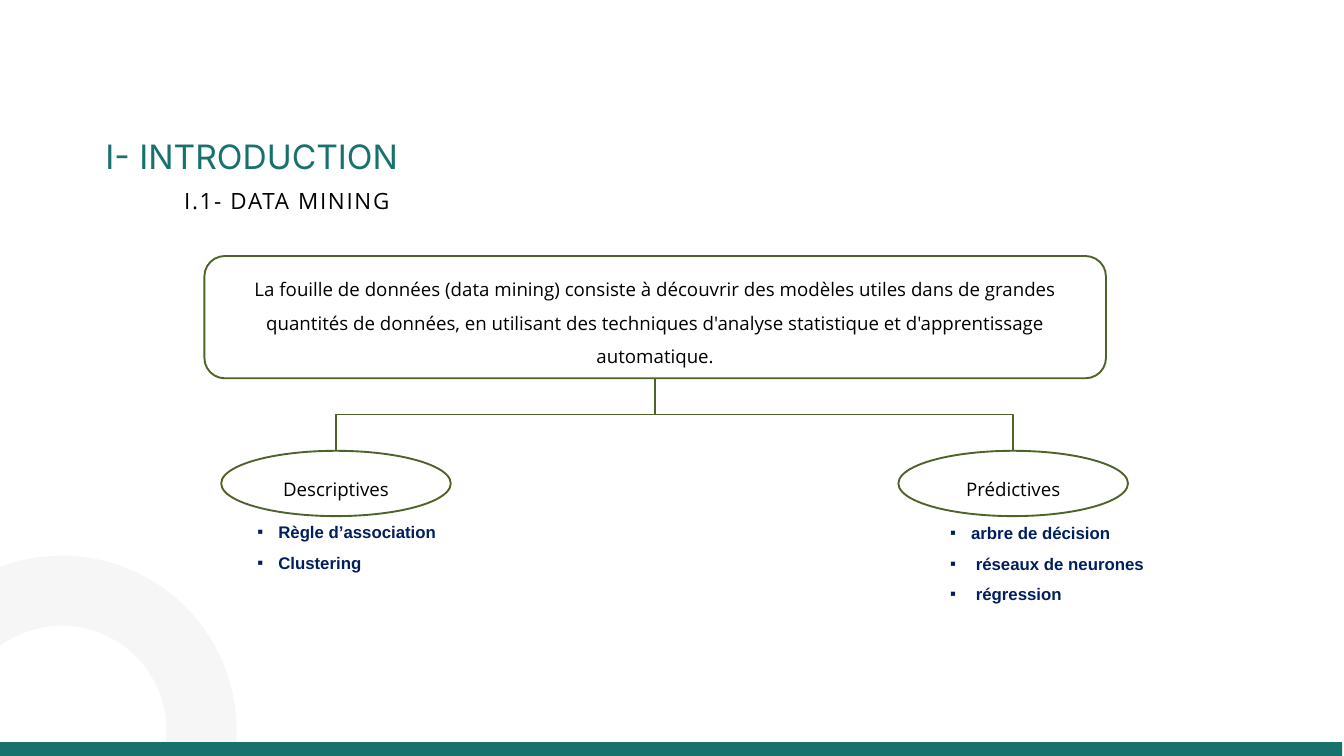
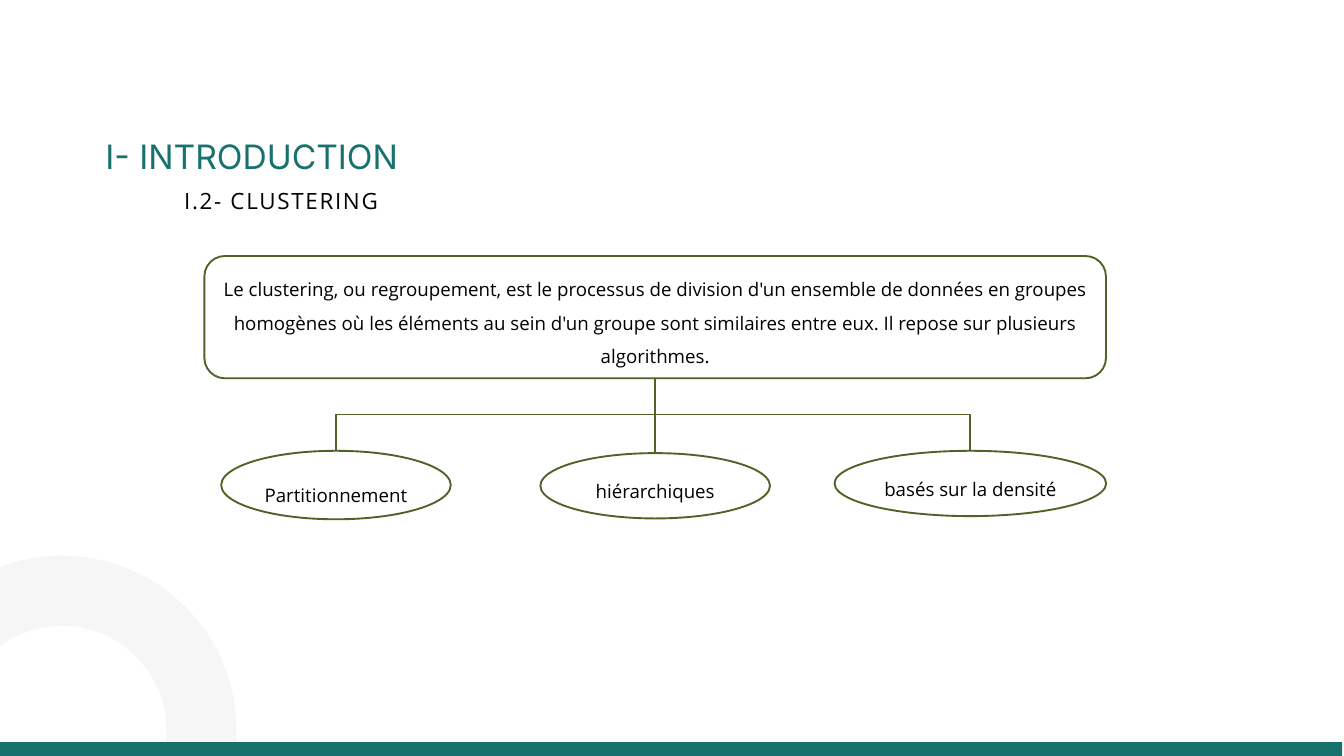
from lxml import etree
from pptx import Presentation
from pptx.dml.color import RGBColor
from pptx.enum import shapes, text
from pptx.oxml import ns
from pptx.util import Pt

TEAL = RGBColor(0x17, 0x72, 0x6D)
OLIVE = RGBColor(0x4F, 0x62, 0x28)
NAVY = RGBColor(0x00, 0x1F, 0x5F)
PALE = RGBColor(0xF6, 0xF6, 0xF6)
BLACK = RGBColor(0, 0, 0)
WHITE = RGBColor(255, 255, 255)

BODY_FONT = "Open Sans"
TITLE = "I- INTRODUCTION"
DEFINITION_BOX = (219, 274.3, 966, 131)
OVAL_TOP, OVAL_WIDTH, OVAL_HEIGHT = 483, 246, 70
BULLET_INDENT, DEEPER_INDENT = 22.5, 27.5

SLIDES = [
    {
        "subtitle": "I.1- DATA MINING",
        "definition": "La fouille de données (data mining) consiste à découvrir des modèles utiles "
                      "dans de grandes quantités de données, en utilisant des techniques d'analyse "
                      "statistique et d'apprentissage automatique.",
        "branches": [
            {"label": "Descriptives", "left": 237},
            {"label": "Prédictives", "left": 962.6},
        ],
        "lists": [
            ((268.6, 545, 216, 90), [("Règle d’association", BULLET_INDENT),
                                     ("Clustering", BULLET_INDENT)]),
            ((1010.9, 546, 270, 120), [("arbre de décision", BULLET_INDENT),
                                       ("réseaux de neurones", DEEPER_INDENT),
                                       ("régression", DEEPER_INDENT)]),
        ],
    },
    {
        "subtitle": "I.2- CLUSTERING",
        "definition": "Le clustering, ou regroupement, est le processus de division d'un ensemble "
                      "de données en groupes homogènes où les éléments au sein d'un groupe sont "
                      "similaires entre eux. Il repose sur plusieurs algorithmes.",
        "branches": [
            {"label": "Partitionnement", "left": 237, "height": 73.4, "lowered": True},
            {"label": "hiérarchiques", "left": 579, "top": 485.5},
            {"label": "basés sur la densité", "left": 894.2, "width": 291},
        ],
        "lists": [],
    },
]


def points(*values):
    return [Pt(value) for value in values]


def style(paragraph, size, color, font=BODY_FONT, bold=False, spacing=1.5):
    paragraph.line_spacing = spacing
    for run in paragraph.runs:
        run.font.size = Pt(size)
        run.font.name = font
        run.font.bold = bold
        run.font.color.rgb = color


def add_preset(slide, kind, place, fill=None, line=None, weight=2):
    shape = slide.shapes.add_shape(kind, *points(*place))
    shape.shadow.inherit = False
    if fill is None:
        shape.fill.background()
    else:
        shape.fill.solid()
        shape.fill.fore_color.rgb = fill
    if line is None:
        shape.line.fill.background()
    else:
        shape.line.color.rgb = line
        shape.line.width = Pt(weight)
    return shape


def add_node(slide, kind, place, label):
    shape = add_preset(slide, kind, place, WHITE, OLIVE)
    frame = shape.text_frame
    frame.text = label
    frame.word_wrap = True
    frame.vertical_anchor = text.MSO_ANCHOR.MIDDLE
    paragraph = frame.paragraphs[0]
    paragraph.alignment = text.PP_ALIGN.CENTER
    style(paragraph, 20, BLACK)
    return shape


def add_text(slide, place, lines, inset=True):
    frame = slide.shapes.add_textbox(*points(*place)).text_frame
    frame.word_wrap = True
    frame.auto_size = text.MSO_AUTO_SIZE.SHAPE_TO_FIT_TEXT
    if not inset:
        frame.margin_left = frame.margin_top = frame.margin_right = frame.margin_bottom = 0
    frame.text = "\n".join(lines)
    return frame.paragraphs


def add_base(slide, subtitle):
    add_preset(slide, shapes.MSO_SHAPE.OVAL, (-83.5, 632.9, 299.5, 299.5), line=PALE, weight=75)
    add_preset(slide, shapes.MSO_SHAPE.RECTANGLE, (0, 795, 1438, 15), fill=TEAL)
    heading = add_text(slide, (113, 113, 643, 67.7), [TITLE], inset=False)[0]
    style(heading, 36, TEAL, "Inter", spacing=Pt(75.6))
    subheading = add_text(slide, (197.3, 195.8, 537, 31.7), [subtitle], inset=False)[0]
    style(subheading, 24, BLACK, spacing=Pt(33.6))
    subheading.runs[0].font._element.set("spc", "180")


def add_list(slide, place, items):
    paragraphs = add_text(slide, place, [item for item, indent in items])
    for paragraph, (item, indent) in zip(paragraphs, items):
        style(paragraph, 18, NAVY, "Arial", bold=True)
        properties = paragraph._p.get_or_add_pPr()
        properties.set("marL", str(Pt(indent)))
        properties.set("indent", str(-Pt(indent)))
        etree.SubElement(properties, ns.qn("a:buFont")).set("typeface", "Arial")
        etree.SubElement(properties, ns.qn("a:buChar")).set("char", "▪")


def add_branch_line(slide, parent, child):
    connector = slide.shapes.add_connector(shapes.MSO_CONNECTOR.ELBOW, 0, 0, 0, 0)
    connector.begin_connect(parent, 2)
    connector.end_connect(child, 0)
    start_x, start_y = parent.left + parent.width // 2, parent.top + parent.height
    end_x, end_y = child.left + child.width // 2, child.top
    drop, span = end_y - start_y, abs(end_x - start_x)
    connector.width, connector.height = drop, span
    connector.left = (start_x + end_x - drop) // 2
    connector.top = (start_y + end_y - span) // 2
    to_right = end_x > start_x
    transform = connector._element.spPr.find(ns.qn("a:xfrm"))
    transform.set("rot", str((270 if to_right else 90) * 60000))
    transform.set("flipH", "1" if to_right else "0")
    transform.set("flipV", "0")
    connector.line.color.rgb = OLIVE
    connector.line.width = Pt(2)
    etree.SubElement(connector._element.spPr, ns.qn("a:effectLst"))


def add_branch(slide, parent, branch):
    place = (branch["left"], branch.get("top", OVAL_TOP),
             branch.get("width", OVAL_WIDTH), branch.get("height", OVAL_HEIGHT))
    oval = add_node(slide, shapes.MSO_SHAPE.OVAL, place, branch["label"])
    if branch.get("lowered"):
        oval.text_frame.paragraphs[0].line_spacing = 1.0
        oval.text_frame.margin_top = Pt(21.4)
        oval.text_frame.margin_bottom = 0
    add_branch_line(slide, parent, oval)


def main():
    presentation = Presentation()
    presentation.slide_width, presentation.slide_height = points(1440, 810)
    for content in SLIDES:
        slide = presentation.slides.add_slide(presentation.slide_layouts[6])
        add_base(slide, content["subtitle"])
        definition = add_node(slide, shapes.MSO_SHAPE.ROUNDED_RECTANGLE,
                              DEFINITION_BOX, content["definition"])
        for branch in content["branches"]:
            add_branch(slide, definition, branch)
        for place, items in content["lists"]:
            add_list(slide, place, items)
    presentation.save("out.pptx")


if __name__ == "__main__":
    main()
